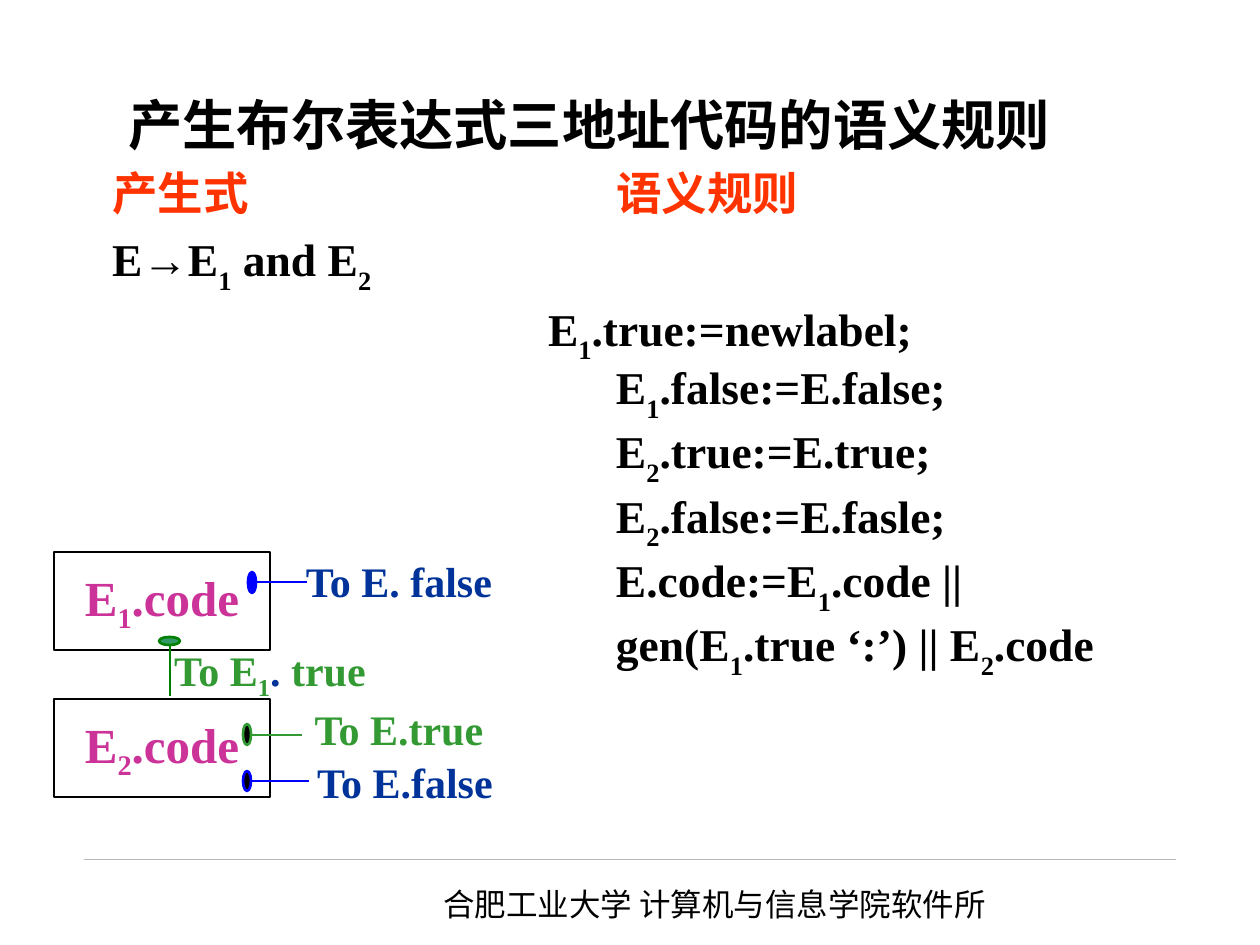
from lxml import etree
from pptx import Presentation
from pptx import util as u
from pptx.dml.color import RGBColor
from pptx.enum import shapes, text
from pptx.oxml import ns

PX = 914400 / 126
BLACK = RGBColor(0x00, 0x00, 0x00)
GRAY = RGBColor(0xB8, 0xB8, 0xB8)
RED = RGBColor(0xFF, 0x33, 0x00)
PINK = RGBColor(0xCC, 0x33, 0x99)
NAVY = RGBColor(0x00, 0x33, 0x99)
BLUE = RGBColor(0x00, 0x00, 0xFF)
LEAF = RGBColor(0x33, 0x99, 0x33)
GREEN = RGBColor(0x00, 0x80, 0x00)
TEAL = RGBColor(0x33, 0x99, 0x66)
SERIF = "Times New Roman"


def px(*nums):
    return [u.Emu(round(n * PX)) for n in nums]


def write(para, line, size, color, face=SERIF, bold=True, drop=-30):
    """Fill a paragraph; the digit after each underscore is a subscript."""
    head, *rest = line.split("_")
    para.add_run().text = head
    for part in rest:
        sub = para.add_run()
        sub.text = part[0]
        sub._r.get_or_add_rPr().set("baseline", str(drop * 1000))
        if part[1:]:
            para.add_run().text = part[1:]
    font = para.font
    font.name, font.size, font.bold = face, u.Pt(size), bold
    font.color.rgb = color


prs = Presentation()
prs.slide_width, prs.slide_height = px(1260, 945)
slide = prs.slides.add_slide(prs.slide_layouts[6])
items = slide.shapes

# Title and footer
for place, line, size, face, bold in [
    ((116, 48, 1092, 152), "产生布尔表达式三地址代码的语义规则", 31, "DejaVu Sans", True),
    ((431, 879, 635, 50), "合肥工业大学 计算机与信息学院软件所", 18, "Noto Sans CJK SC", False),
]:
    frame = items.add_textbox(*px(*place)).text_frame
    frame.word_wrap = True
    frame.vertical_anchor = text.MSO_ANCHOR.MIDDLE
    write(frame.paragraphs[0], line, size, BLACK, face, bold)

# Productions and semantic rules: (indent, colour, line)
heads = [
    (0, RED, "产生式"),
    (0, BLACK, "E→E_1 and E_2"),
    (436, BLACK, "E_1.true:=newlabel;"),
]
rules = [(0, BLACK, line) for line in (
    "E_1.false:=E.false;",
    "E_2.true:=E.true;",
    "E_2.false:=E.fasle;",
    "E.code:=E_1.code ||",
    "gen(E_1.true ‘:’) || E_2.code",
)]
for place, rows, space, gap in [
    ((112, 171, 1100, 200), heads, 0.9, 6.5),
    ((616, 171, 400, 60), [(0, RED, "语义规则")], 0.9, 0),
    ((616, 359, 620, 330), rules, 1.0, 0),
]:
    frame = items.add_textbox(*px(*place)).text_frame
    frame.word_wrap = True
    frame.margin_left = frame.margin_right = 0
    frame.margin_top = frame.margin_bottom = 0
    for i, (dent, color, line) in enumerate(rows):
        para = frame.add_paragraph() if i else frame.paragraphs[0]
        para.line_spacing = space
        para.space_before = u.Pt(gap if i else 0)
        props = para._p.get_or_add_pPr()
        props.set("marL", str(px(dent)[0]))
        props.set("indent", "0")
        write(para, line, 26, color)

# Code boxes
for top, line in [(552, "E_1.code"), (699, "E_2.code")]:
    box = items.add_shape(shapes.MSO_SHAPE.RECTANGLE, *px(54, top, 216, 98))
    box.shadow.inherit = False
    box.fill.background()
    box.line.color.rgb = BLACK
    box.line.width = u.Pt(1.5)
    frame = box.text_frame
    frame.word_wrap = False
    frame.vertical_anchor = text.MSO_ANCHOR.MIDDLE
    frame.paragraphs[0].alignment = text.PP_ALIGN.CENTER
    write(frame.paragraphs[0], line, 28, PINK, drop=-25)

# Jump labels, each centred on (x, y)
for x, y, line, color in [
    (399, 581, "To E. false", NAVY),
    (270, 673, "To E_1", LEAF),
    (399, 729, "To E.true", LEAF),
    (405, 782, "To E.false", NAVY),
]:
    frame = items.add_textbox(*px(x - 120, y - 38, 240, 76)).text_frame
    frame.word_wrap = True
    frame.vertical_anchor = text.MSO_ANCHOR.MIDDLE
    para = frame.paragraphs[0]
    para.alignment = text.PP_ALIGN.CENTER
    write(para, line, 24, color, drop=-25)
    if "_" in line:
        dot = para.add_run()
        dot.text = ". "
        dot.font.color.rgb = NAVY
        para.add_run().text = "true"

# Footer rule and jump lines
for ends, color, width in [
    ((84, 859, 1176, 859), GRAY, 0.25),
    ((256, 582, 307, 582), BLUE, 1.5),
    ((170, 644, 170, 696), GREEN, 1.5),
    ((251, 735, 302, 735), LEAF, 1.5),
    ((251, 781, 309, 781), BLUE, 1.5),
]:
    wire = items.add_connector(shapes.MSO_CONNECTOR.STRAIGHT, *px(*ends))
    wire.line.color.rgb = color
    wire.line.width = u.Pt(width)
    etree.SubElement(wire._element.spPr, ns.qn("a:effectLst"))

# Jump sources
for place, fill, edge in [
    ((248, 572, 8, 21), BLUE, BLUE),
    ((159, 637, 21, 8), TEAL, GREEN),
    ((243, 724, 8, 21), BLACK, LEAF),
    ((243, 771, 8, 20), BLACK, BLUE),
]:
    knob = items.add_shape(shapes.MSO_SHAPE.OVAL, *px(*place))
    knob.shadow.inherit = False
    knob.fill.solid()
    knob.fill.fore_color.rgb = fill
    knob.line.color.rgb = edge
    knob.line.width = u.Pt(1.5)

prs.save("out.pptx")
